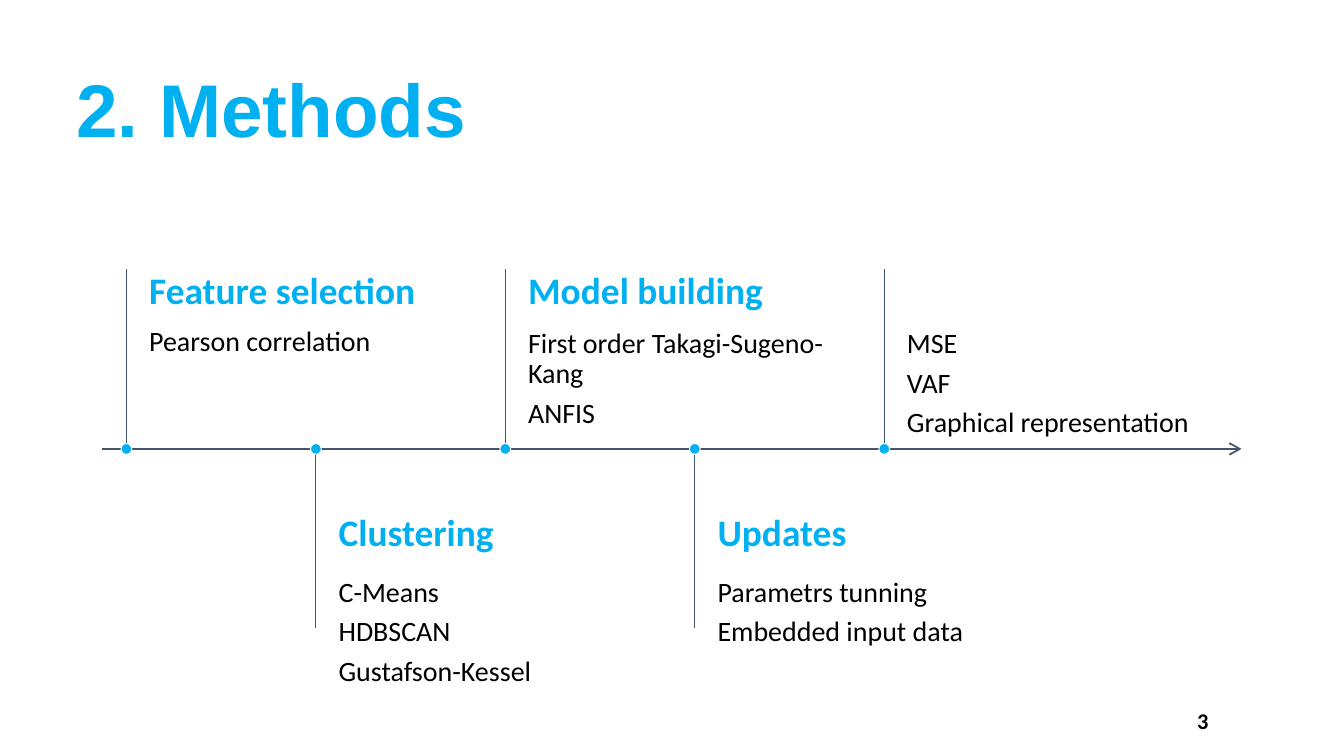
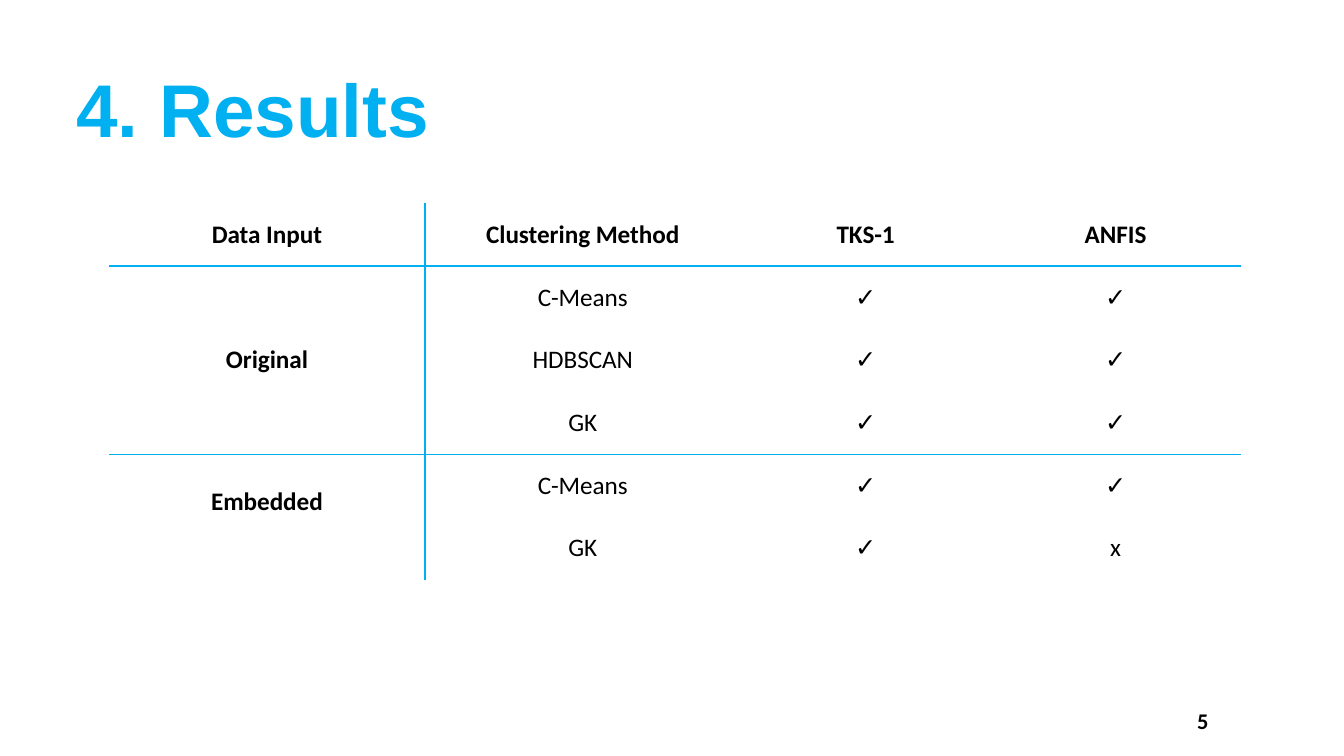
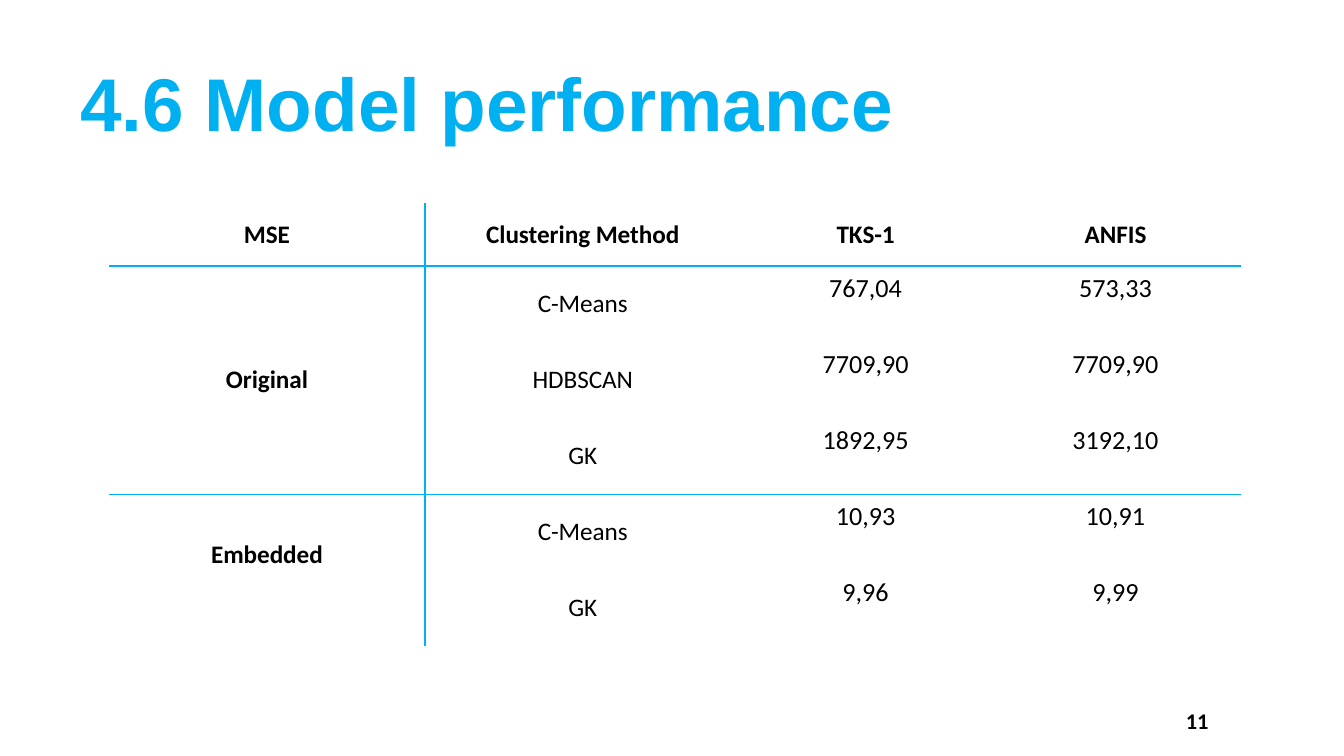
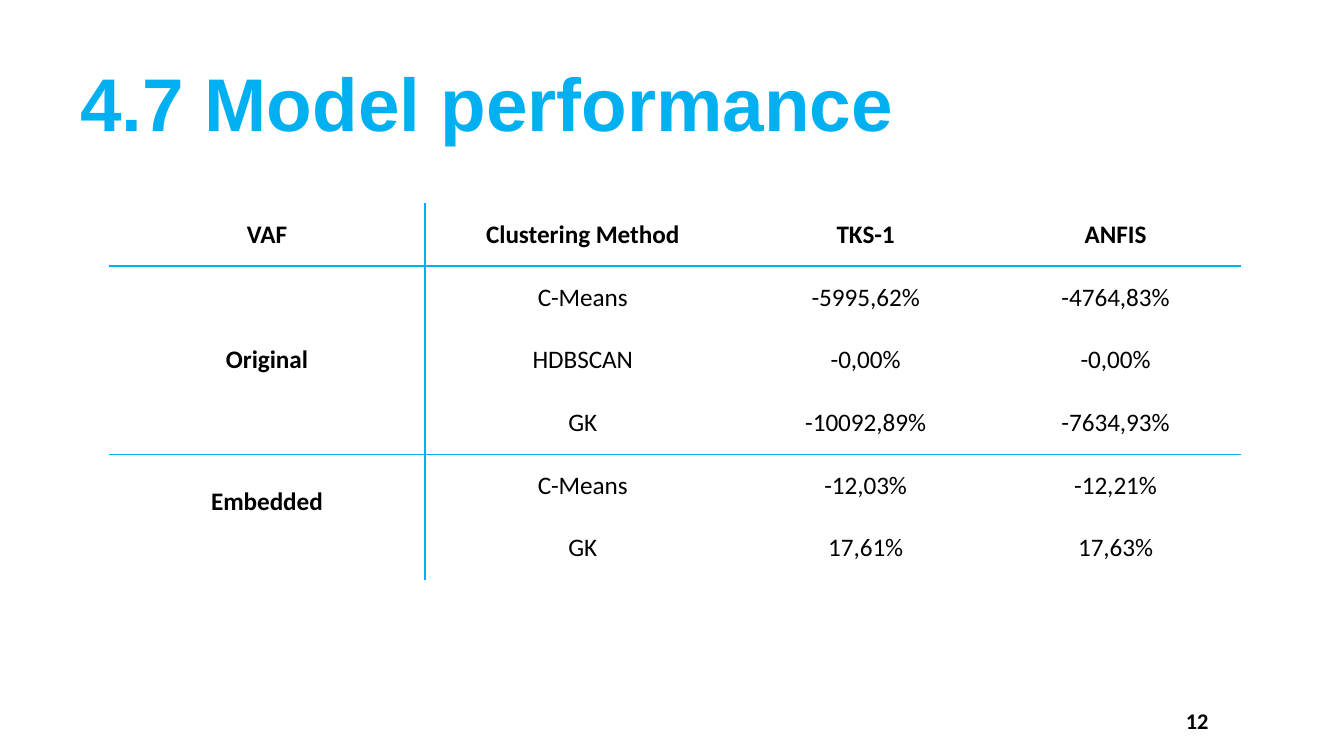
from pptx import Presentation
from pptx.dml.color import RGBColor
from pptx.enum.shapes import MSO_CONNECTOR, MSO_SHAPE
from pptx.enum.text import MSO_ANCHOR, PP_ALIGN
from pptx.oxml.ns import qn
from pptx.util import Pt
from lxml.etree import SubElement

BLUE = RGBColor(0x00, 0xB0, 0xF0)
SLATE = RGBColor(0x44, 0x54, 0x6A)
BLACK = RGBColor(0, 0, 0)
WHITE = RGBColor(255, 255, 255)

TOP, MIDDLE = MSO_ANCHOR.TOP, MSO_ANCHOR.MIDDLE


def write_text(tf, text, size=13.5, font="Calibri", color=BLACK, bold=False,
               align=PP_ALIGN.LEFT, anchor=MIDDLE, spacing=None, after=None,
               insets=None):
    """Fill a text frame, one paragraph per line; insets run left, top, right, bottom."""
    tf.word_wrap = True
    tf.vertical_anchor = anchor
    if insets:
        tf.margin_left, tf.margin_top, tf.margin_right, tf.margin_bottom = map(Pt, insets)
    for i, line in enumerate(text.split("\n")):
        p = tf.add_paragraph() if i else tf.paragraphs[0]
        p.alignment = align
        if spacing:
            p.line_spacing = spacing
        if after:
            p.space_after = Pt(after)
        r = p.add_run()
        r.text = line
        r.font.size = Pt(size)
        r.font.name = font
        r.font.bold = bold
        r.font.color.rgb = color


def add_line(s, x1, y1, x2, y2, width):
    line = s.shapes.add_connector(MSO_CONNECTOR.STRAIGHT, Pt(x1), Pt(y1), Pt(x2), Pt(y2))
    line.line.color.rgb = SLATE
    line.line.width = Pt(width)
    SubElement(line._element.spPr, qn("a:effectLst"))
    return line


prs = Presentation()
prs.slide_width, prs.slide_height = Pt(720), Pt(405)

# Slides with title and page number
HIGH_TITLE = ((36, 32.4, 646.6, 67), TOP)
MID_TITLE = ((33.8, 21.6, 620.6, 78.5), MIDDLE)
slides = []
for title, number, (box, anchor) in [
    ("2. Methods", "3", MID_TITLE),
    ("4. Results", "5", MID_TITLE),
    ("4.6 Model performance", "11", HIGH_TITLE),
    ("4.7 Model performance", "12", HIGH_TITLE),
]:
    s = prs.slides.add_slide(prs.slide_layouts[6])
    sp = s.shapes.add_textbox(*map(Pt, box))
    write_text(sp.text_frame, title, size=40, font="Arial", color=BLUE, bold=True,
               anchor=anchor, spacing=0.9)
    sp = s.shapes.add_textbox(Pt(545.8), Pt(375.1), Pt(108.7), Pt(21.6))
    write_text(sp.text_frame, number, size=12, bold=True, align=PP_ALIGN.RIGHT)
    slides.append(s)

# Methods timeline: steps alternate above and below the axis
AXIS_Y = 240.5
FIRST_X, STEP_X = 67.7, 101.5
TEXT_GAP, TEXT_W = 12.2, 169.2
DOT = 5.8
ABOVE = {"stem": 144, "head": (144, 25.2), "body": (169.2, 71.3),
         "insets": (0, 7.2, 7.2, 11.5)}
BELOW = {"stem": 336.2, "head": (274.3, 23.8), "body": (298.1, 38.2),
         "insets": (0, 11.5, 11.5, 7.2)}

s = slides[0]
axis = add_line(s, 54.9, AXIS_Y, 665.1, AXIS_Y, 0.95)
SubElement(axis.line._get_or_add_ln(), qn("a:tailEnd"), type="arrow")

steps = [
    ("Feature selection", "Pearson correlation"),
    ("Clustering", "C-Means\nHDBSCAN\nGustafson-Kessel"),
    ("Model building", "First order Takagi-Sugeno-Kang\nANFIS"),
    ("Updates", "Parametrs tunning\nEmbedded input data"),
    (None, "MSE\nVAF\nGraphical representation"),
]
for i, (heading, body) in enumerate(steps):
    side = BELOW if i % 2 else ABOVE
    x = FIRST_X + i * STEP_X
    top, height = side["body"]
    sp = s.shapes.add_textbox(Pt(x + TEXT_GAP), Pt(top), Pt(TEXT_W), Pt(height))
    write_text(sp.text_frame, body, size=15, anchor=TOP, spacing=0.9, after=5,
               insets=side["insets"])
    if heading:
        top, height = side["head"]
        sp = s.shapes.add_textbox(Pt(x + TEXT_GAP), Pt(top), Pt(TEXT_W), Pt(height))
        write_text(sp.text_frame, heading, size=20, color=BLUE, bold=True,
                   spacing=0.9, after=7, insets=(0, 0, 10, 0))
    add_line(s, x, *sorted((AXIS_Y, side["stem"]))[:1], x, max(AXIS_Y, side["stem"]), 0.5)
    dot = s.shapes.add_shape(MSO_SHAPE.OVAL, Pt(x - DOT / 2), Pt(AXIS_Y - DOT / 2),
                             Pt(DOT), Pt(DOT))
    dot.shadow.inherit = False
    dot.fill.solid()
    dot.fill.fore_color.rgb = BLUE
    dot.line.color.rgb = WHITE
    dot.line.width = Pt(0.5)

# Result tables: the same grid with different values
COL_W = (169.2, 169.2, 133.9, 133.9)
HEAD_H = 33.6
RULES = {1: 1, 4: 0.5}  # line width above each row
GROUPS = {1: ("Original", 3), 4: ("Embedded", 2)}  # first row: label, rows
METHODS = ("C-Means", "HDBSCAN", "GK", "C-Means", "GK")
RAISED = 20  # bottom margin that lifts a text above the middle

tables = [
    (slides[1], "Data Input", HEAD_H, 13.5, 3.6,
     [("✓", "✓"), ("✓", "✓"), ("✓", "✓"), ("✓", "✓"), ("✓", "x")]),
    (slides[2], "MSE", 40.7, 14, RAISED,
     [("767,04", "573,33"), ("7709,90", "7709,90"), ("1892,95", "3192,10"),
      ("10,93", "10,91"), ("9,96", "9,99")]),
    (slides[3], "VAF", HEAD_H, 13.5, 3.6,
     [("-5995,62%", "-4764,83%"), ("-0,00%", "-0,00%"), ("-10092,89%", "-7634,93%"),
      ("-12,03%", "-12,21%"), ("17,61%", "17,63%")]),
]
for s, corner, row_h, value_size, value_bottom, values in tables:
    rows = [(corner, "Clustering Method", "TKS-1", "ANFIS")]
    for i, (method, pair) in enumerate(zip(METHODS, values), start=1):
        rows.append((GROUPS.get(i, ("", 1))[0], method, *pair))
    table = s.shapes.add_table(len(rows), len(COL_W), Pt(58.4), Pt(109), Pt(sum(COL_W)),
                               Pt(HEAD_H + row_h * len(values))).table
    table.first_row = table.horz_banding = False
    for column, width in zip(table.columns, COL_W):
        column.width = Pt(width)
    for i, row in enumerate(table.rows):
        row.height = Pt(row_h if i else HEAD_H)
    for i, (label, span) in GROUPS.items():
        table.cell(i, 0).merge(table.cell(i + span - 1, 0))

    for i, row in enumerate(rows):
        for j, text in enumerate(row):
            cell = table.cell(i, j)
            is_value = i > 0 and j > 1
            if text:
                write_text(cell.text_frame, text, size=value_size if is_value else 13.5,
                           bold=i == 0 or j == 0, align=PP_ALIGN.CENTER)
            cell.vertical_anchor = MIDDLE
            if is_value:
                cell.margin_bottom = Pt(value_bottom)
            elif text == "Embedded":
                cell.margin_bottom = Pt(RAISED)
            span = GROUPS.get(i, ("", 1))[1] if j == 0 else 1
            edges = {"L": 1 if j == 1 else 0, "R": 1 if j == 0 else 0,
                     "T": RULES.get(i, 0), "B": RULES.get(i + span, 0)}
            tcPr = cell._tc.get_or_add_tcPr()
            # a:bodyPr settings do not apply to cells, so borders come first here
            for edge, width in edges.items():
                ln = SubElement(tcPr, qn("a:ln" + edge), w=str(Pt(width)))
                if width:
                    fill = SubElement(ln, qn("a:solidFill"))
                    SubElement(fill, qn("a:srgbClr"), val=str(BLUE))
                else:
                    SubElement(ln, qn("a:noFill"))
            cell.fill.background()

prs.save("out.pptx")
